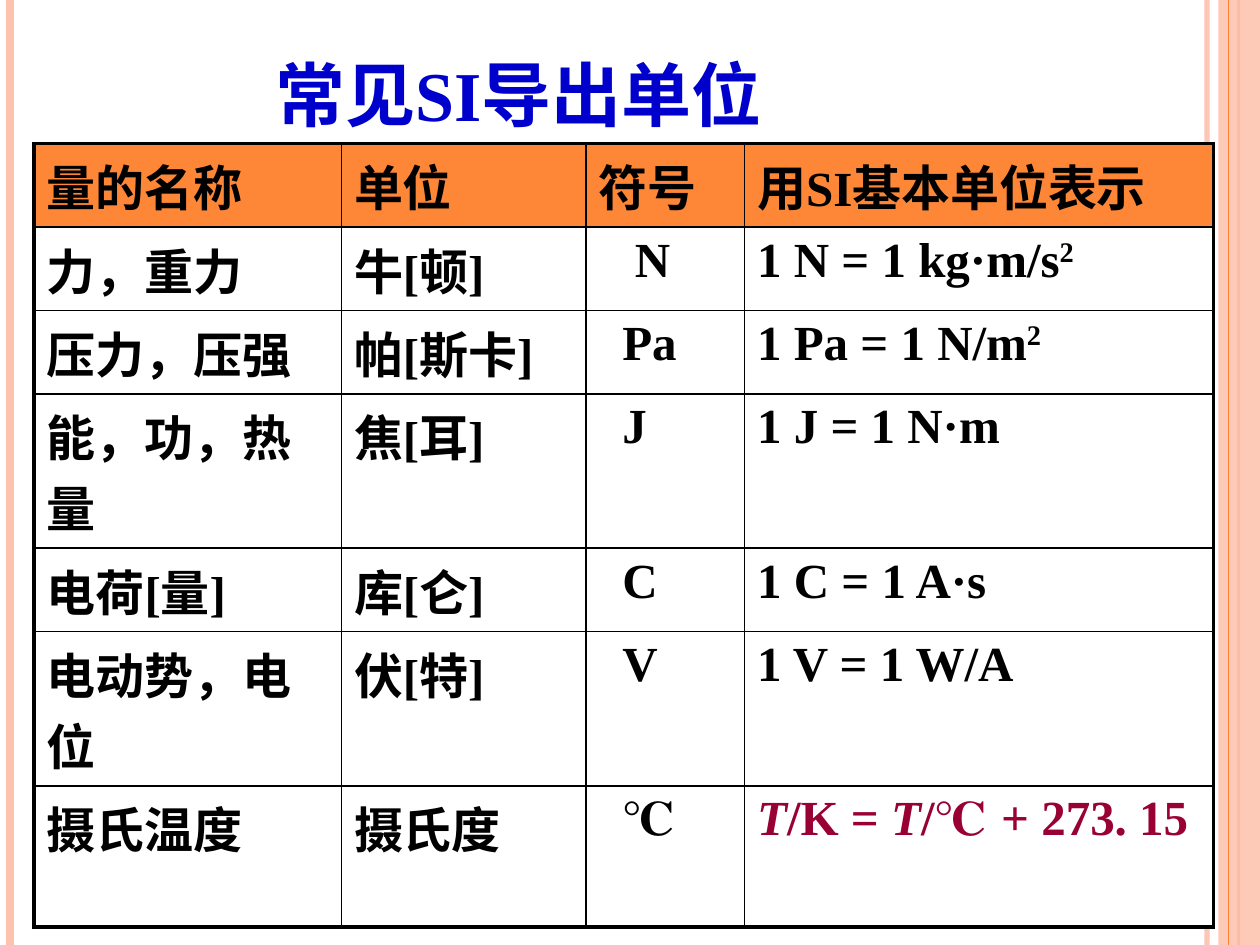
from lxml.etree import SubElement as Sub
from pptx import Presentation
from pptx.dml.color import RGBColor as RGB
from pptx.enum.shapes import MSO_CONNECTOR as CONN, MSO_SHAPE as SHAPE
from pptx.oxml.ns import qn
from pptx.util import Inches, Pt

COLORS = {"peach": "FEC3AE", "orange": "FE8637", "white": "FFFFFF",
          "black": "000000", "blue": "0000CC", "crimson": "990033"}
FONT = {"name": "Times New Roman", "bold": True}
WIDTH, HEIGHT = 10, 7.5
COLS = [2.44, 1.94, 1.26, 3.72]
HEIGHTS = [0.62, 0.61, 0.62, 1.12, 0.61, 1.12, 1.12]
SYMBOL_COL = 2
SYMBOL_INDENTS = [0.1, 0.39] + [0.29] * 5
HAIRLINE_ROWS = {0, 1, 5, 6}
SUP, ITALIC = "sup", "italic"
ROWS = [
    ["量的名称", "单位", "符号", "用SI基本单位表示"],
    ["力，重力", "牛[顿]", "N", [("1 N = 1 kg·m/s", None), ("2", SUP)]],
    ["压力，压强", "帕[斯卡]", "Pa", [("1 Pa = 1 N/m", None), ("2", SUP)]],
    ["能，功，热量", "焦[耳]", "J", "1 J = 1 N·m"],
    ["电荷[量]", "库[仑]", "C", "1 C = 1 A·s"],
    ["电动势，电位", "伏[特]", "V", "1 V = 1 W/A"],
    ["摄氏温度", "摄氏度", "℃",
     [("T", ITALIC), ("/K = ", None), ("T", ITALIC), ("/℃ + 273. 15", None)]],
]


def rgb(name):
    """Return the named palette colour."""
    return RGB.from_string(COLORS[name])


def set_alpha(shape, percent):
    """Make the solid colour of a shape partly transparent."""
    color = next(shape._element.spPr.iter(qn("a:srgbClr")))
    Sub(color, qn("a:alpha"), val=str(percent * 1000))


def add_runs(p, parts, size, color):
    """Write a string or a list of (text, style) pairs into a paragraph."""
    for text, style in [(parts, None)] if isinstance(parts, str) else parts:
        r = p.add_run()
        r.text = text
        for key, value in {**FONT, "size": Pt(size), "italic": style == ITALIC}.items():
            setattr(r.font, key, value)
        r.font.color.rgb = rgb(color)
        if style == SUP:
            r._r.get_or_add_rPr().set("baseline", "30000")


def add_stripe(s, x, color, weight, alpha=100):
    """Draw one full-height vertical line."""
    c = s.shapes.add_connector(CONN.STRAIGHT, Inches(x), 0, Inches(x), Inches(HEIGHT))
    c.line.color.rgb = rgb(color)
    c.line.width = Pt(weight)
    if alpha < 100:
        set_alpha(c, alpha)
    Sub(c._element.spPr, qn("a:effectLst"))


def add_frame(s, left, top, width, height):
    """Draw the side stripes and the band at the right of the given box."""
    right = left + width
    add_stripe(s, right - 0.42, "peach", 3, 93)
    add_stripe(s, left + 0.08, "peach", 4.5)
    add_stripe(s, right - 0.17, "orange", 1.5)
    band = s.shapes.add_shape(SHAPE.RECTANGLE, Inches(right - 0.33), Inches(top),
                              Inches(0.33), Inches(height))
    band.shadow.inherit = False
    band.fill.solid()
    band.fill.fore_color.rgb = rgb("peach")
    set_alpha(band, 87)
    band.line.fill.background()
    add_stripe(s, right - 0.25, "orange", 0.75)


def add_title(s, left, top, width, height):
    """Place the slide title."""
    box = s.shapes.add_textbox(*map(Inches, (left, top, width, height)))
    tf = box.text_frame
    tf.word_wrap = True
    add_runs(tf.paragraphs[0], "常见SI导出单位", 40, "blue")


def add_borders(cell, i, j):
    """Give a cell heavy outer borders and thin inner ones."""
    inner_left, inner_right = (
        0.25 if j == col and i in HAIRLINE_ROWS else 1
        for col in (SYMBOL_COL + 1, SYMBOL_COL))
    widths = {"L": 2.25 if j == 0 else inner_left,
              "R": 2.25 if j == len(COLS) - 1 else inner_right,
              "T": 2.25 if i == 0 else 1,
              "B": 2.25 if i == len(ROWS) - 1 else 1}
    tcPr = cell._tc.get_or_add_tcPr()
    for side, weight in widths.items():
        ln = Sub(tcPr, qn(f"a:ln{side}"), w=str(Pt(weight)))
        Sub(Sub(ln, qn("a:solidFill")), qn("a:srgbClr"), val=COLORS["black"])


def add_units_table(s, left, top, width, height):
    """Build the table of derived units."""
    frame = s.shapes.add_table(len(ROWS), len(COLS),
                               *map(Inches, (left, top, width, height)))
    table = frame.table
    table.first_row = table.horz_banding = False
    for column, w in zip(table.columns, COLS):
        column.width = Inches(w)
    for i, (row, h) in enumerate(zip(ROWS, HEIGHTS)):
        table.rows[i].height = Inches(h)
        for j, parts in enumerate(row):
            cell = table.cell(i, j)
            add_borders(cell, i, j)
            cell.fill.solid()
            cell.fill.fore_color.rgb = rgb("white" if i else "orange")
            if j == SYMBOL_COL:
                cell.margin_left = Inches(SYMBOL_INDENTS[i])
            is_formula = i == len(ROWS) - 1 and j == len(COLS) - 1
            add_runs(cell.text_frame.paragraphs[0], parts, 28,
                     "crimson" if is_formula else "black")


def main():
    """Build and save the slide."""
    prs = Presentation()
    prs.slide_width, prs.slide_height = Inches(WIDTH), Inches(HEIGHT)
    s = prs.slides.add_slide(prs.slide_layouts[6])
    add_frame(s, 0, 0, WIDTH, HEIGHT)
    add_units_table(s, 0.27, 1.14, sum(COLS), sum(HEIGHTS))
    add_title(s, 2.09, 0.36, 6.38, 0.77)
    prs.save("out.pptx")


if __name__ == "__main__":
    main()
